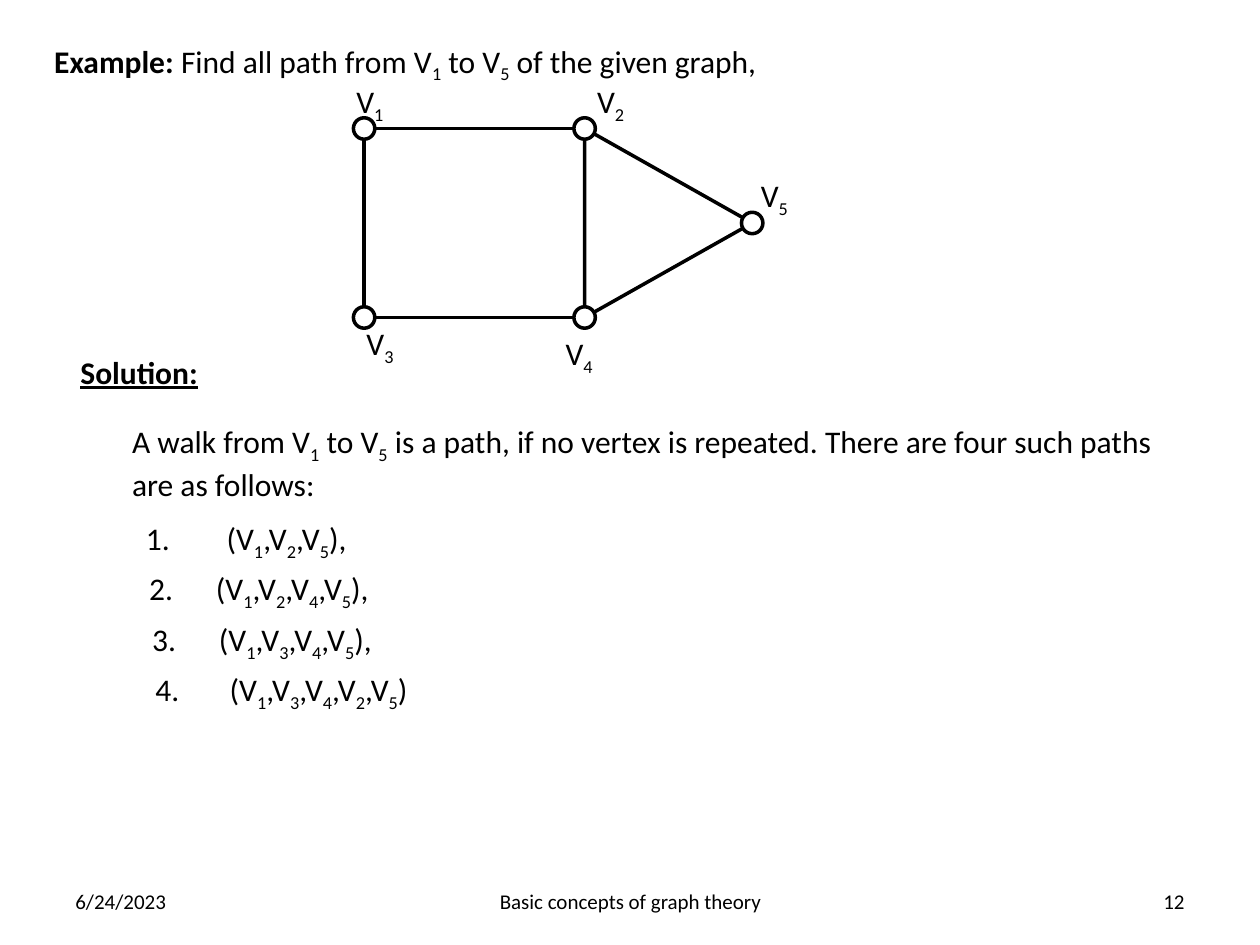
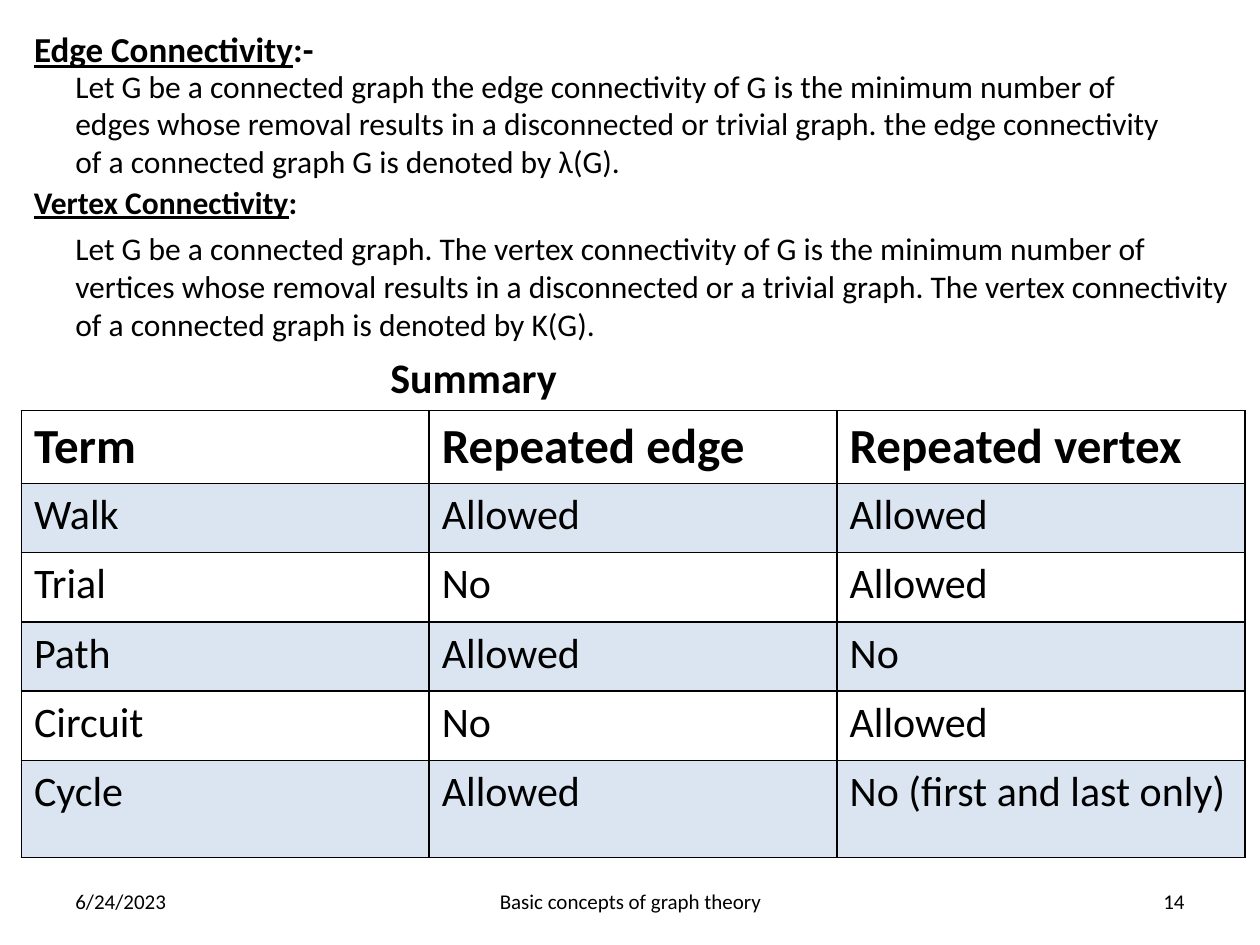
from dataclasses import dataclass

from lxml.etree import SubElement
from pptx import Presentation
from pptx.dml.color import RGBColor
from pptx.enum.shapes import MSO_SHAPE as Shape
from pptx.enum.text import MSO_ANCHOR as Anchor, MSO_AUTO_SIZE as AutoSize, PP_ALIGN as Align
from pptx.oxml.ns import qn
from pptx.util import Inches, Pt


@dataclass(frozen=True)
class Theme:
    font: str = "Calibri"
    ink: RGBColor = RGBColor(0x00, 0x00, 0x00)
    paper: RGBColor = RGBColor(0xFF, 0xFF, 0xFF)
    band: RGBColor = RGBColor(0x4F, 0x81, 0xBD)
    band_opacity: int = 20
    body: int = 18
    heading: int = 20
    large: int = 24
    table_head: int = 28
    footer: int = 12
    edge_width: int = 2
    border_width: int = 1


THEME = Theme()
BOLD = {"bold": True}
HEADING = {"bold": True, "underline": True}
TITLE_ONLY = 5


def inches(box):
    return [Inches(length) for length in box]


def add_runs(paragraph, text, size, **formats):
    """Add text in which the character after each underscore is a subscript."""
    first, *rest = text.split("_")
    pieces = [(first, False)]
    for part in rest:
        pieces += [(part[0], True), (part[1:], False)]
    for piece, is_subscript in pieces:
        if not piece:
            continue
        run = paragraph.add_run()
        run.text = piece
        values = {"name": THEME.font, "size": Pt(size), "bold": False, **formats}
        for name, value in values.items():
            setattr(run.font, name, value)
        run.font.color.rgb = THEME.ink
        if is_subscript:
            run._r.get_or_add_rPr().set("baseline", "-25000")


def write(frame, lines, size=THEME.body, align=Align.LEFT, anchor=Anchor.TOP):
    """Fill a frame with lines, each a list of (text, formats) spans."""
    settings = {"word_wrap": True, "auto_size": AutoSize.NONE, "vertical_anchor": anchor}
    for name, value in settings.items():
        setattr(frame, name, value)
    for index, spans in enumerate(lines):
        paragraph = frame.add_paragraph() if index else frame.paragraphs[0]
        paragraph.alignment = align
        for text, formats in spans:
            add_runs(paragraph, text, size, **formats)


def add_text(shapes, box, *lines, **layout):
    frame = shapes.add_textbox(*inches(box)).text_frame
    write(frame, [[(line, {})] if isinstance(line, str) else line for line in lines], **layout)
    return frame


def add_footer(slide, number):
    top, height = 6.95, 0.4
    for left, width, text, align in (
        (0.5, 2.33, "6/24/2023", Align.LEFT),
        (3.42, 3.17, "Basic concepts of graph theory", Align.CENTER),
        (7.17, 2.33, str(number), Align.RIGHT),
    ):
        add_text(slide.shapes, (left, top, width, height), text,
                 size=THEME.footer, align=align, anchor=Anchor.MIDDLE)


def start_slide(deck, number, title_box, title_spans, title_size):
    slide = deck.slides.add_slide(deck.slide_layouts[TITLE_ONLY])
    title = slide.shapes.title
    title.left, title.top, title.width, title.height = inches(title_box)
    write(title.text_frame, [title_spans], size=title_size)
    add_footer(slide, number)
    return slide


def add_outline(shapes, kind, box):
    outline = shapes.add_shape(kind, *inches(box))
    outline.shadow.inherit = False
    outline.fill.solid()
    outline.fill.fore_color.rgb = THEME.paper
    outline.line.color.rgb = THEME.ink
    outline.line.width = Pt(THEME.edge_width)
    return outline


def add_graph(slide, left, top, width, height):
    """Draw the square and triangle of edges, then the vertices with their labels."""
    square, node = 1.75, 0.17
    reach = width - square
    shapes = slide.shapes.add_group_shape().shapes
    add_outline(shapes, Shape.RECTANGLE, (left, top, square, height))
    triangle_box = (left + square + (reach - height) / 2, top + (height - reach) / 2, height, reach)
    add_outline(shapes, Shape.ISOSCELES_TRIANGLE, triangle_box).rotation = 90

    vertices = (  # centre x, y; label offset x, y; label width
        (0, 0, -0.16, -0.42, 0.75),
        (square, 0, 0, -0.42, 0.62),
        (0, height, -0.08, 0, 0.5),
        (square, height, -0.25, 0.08, 0.67),
        (width, height / 2, -0.03, -0.42, 0.62),
    )
    for number, (x, y, label_x, label_y, label_width) in enumerate(vertices, 1):
        x, y = left + x, top + y
        add_outline(shapes, Shape.FLOWCHART_CONNECTOR, (x - node / 2, y - node / 2, node, node))
        add_text(shapes, (x + label_x, y + label_y, label_width, 0.4), f"V_{number}")


def add_path_list(slide, left, top):
    row_step, drift = 0.4, 0.025
    paths = (("125", 0.64), ("1245", 0.53), ("1345", 0.53), ("13425", 0.59))
    for index, (vertices, tab) in enumerate(paths):
        route = ",".join(f"V_{vertex}" for vertex in vertices)
        ending = "," if index < len(paths) - 1 else ""
        box = (left + index * drift, top + index * row_step, 2.4, 0.4)
        frame = add_text(slide.shapes, box, f"{index + 1}.\t({route}){ending}")
        tabs = SubElement(frame.paragraphs[0]._p.get_or_add_pPr(), qn("a:tabLst"))
        SubElement(tabs, qn("a:tab"), pos=str(Inches(tab)), algn="l")


def set_borders(cell):
    properties = cell._tc.get_or_add_tcPr()
    for side in ("lnL", "lnR", "lnT", "lnB"):
        line = SubElement(properties, qn(f"a:{side}"), w=str(Pt(THEME.border_width)))
        SubElement(SubElement(line, qn("a:solidFill")), qn("a:srgbClr"), val=str(THEME.ink))


def fill_band(cell):
    cell.fill.solid()
    cell.fill.fore_color.rgb = THEME.band
    colour = cell._tc.tcPr.find(qn("a:solidFill")).find(qn("a:srgbClr"))
    SubElement(colour, qn("a:alpha"), val=str(THEME.band_opacity * 1000))


def add_summary_table(slide, left, top, width, height):
    records = (
        ("Term", "Repeated edge", "Repeated vertex"),
        ("Walk", "Allowed", "Allowed"),
        ("Trial", "No", "Allowed"),
        ("Path", "Allowed", "No"),
        ("Circuit", "No", "Allowed"),
        ("Cycle", "Allowed", "No (first and last only)"),
    )
    row_heights = (0.48, 0.55, 0.55, 0.55, 0.55, 0.77)
    box = inches((left, top, width, height))
    table = slide.shapes.add_table(len(records), len(records[0]), *box).table
    table.first_row = table.horz_banding = False
    for row, row_height in zip(table.rows, row_heights):
        row.height = Inches(row_height)
    for row_index, record in enumerate(records):
        is_head = row_index == 0
        size = THEME.table_head if is_head else THEME.large
        for column_index, text in enumerate(record):
            cell = table.cell(row_index, column_index)
            add_runs(cell.text_frame.paragraphs[0], text, size, bold=is_head)
            set_borders(cell)
            if row_index % 2:
                fill_band(cell)
            else:
                cell.fill.background()


def build_paths_slide(deck):
    title = [("Example: ", BOLD), ("Find all path from V_1 to V_5 of the given graph,", {})]
    slide = start_slide(deck, 12, (0.33, 0.28, 6.15, 0.4), title, THEME.body)
    add_graph(slide, 2.89, 1.02, 3.08, 1.5)
    add_text(slide.shapes, (0.54, 2.75, 1.2, 0.4), [("Solution:", HEADING)])
    add_text(slide.shapes, (0.95, 3.3, 8.72, 0.71),
             "A walk from V_1 to V_5 is a path, if no vertex is repeated. There are four such paths",
             "are as follows:")
    add_path_list(slide, 1.06, 4.07)


def build_connectivity_slide(deck):
    title = [("Edge Connectivity", HEADING), (":-", BOLD)]
    slide = start_slide(deck, 14, (0.17, 0.17, 2.5, 0.44), title, THEME.heading)
    shapes = slide.shapes
    add_text(shapes, (0.5, 0.48, 9, 1.01),
             "Let G be a connected graph the edge connectivity of G is the minimum number of "
             "edges whose removal results in a disconnected or trivial graph. the edge "
             "connectivity of a connected graph G is denoted by λ(G).")
    add_text(shapes, (0.17, 1.4, 2.4, 0.4), [("Vertex Connectivity", HEADING), (":", BOLD)])
    add_text(shapes, (0.5, 1.77, 9.46, 1.01),
             "Let G be a connected graph. The vertex connectivity of G is the minimum number of "
             "vertices whose removal results in a disconnected or a trivial graph. The vertex "
             "connectivity of a connected graph is denoted by K(G).")
    add_text(shapes, (3, 2.74, 1.6, 0.5), [("Summary", BOLD)], size=THEME.large)
    add_summary_table(slide, 0.17, 3.26, 9.71, 3.45)


def main():
    deck = Presentation()
    deck.slide_width, deck.slide_height = Inches(10), Inches(7.5)
    build_paths_slide(deck)
    build_connectivity_slide(deck)
    deck.save("out.pptx")


if __name__ == "__main__":
    main()
